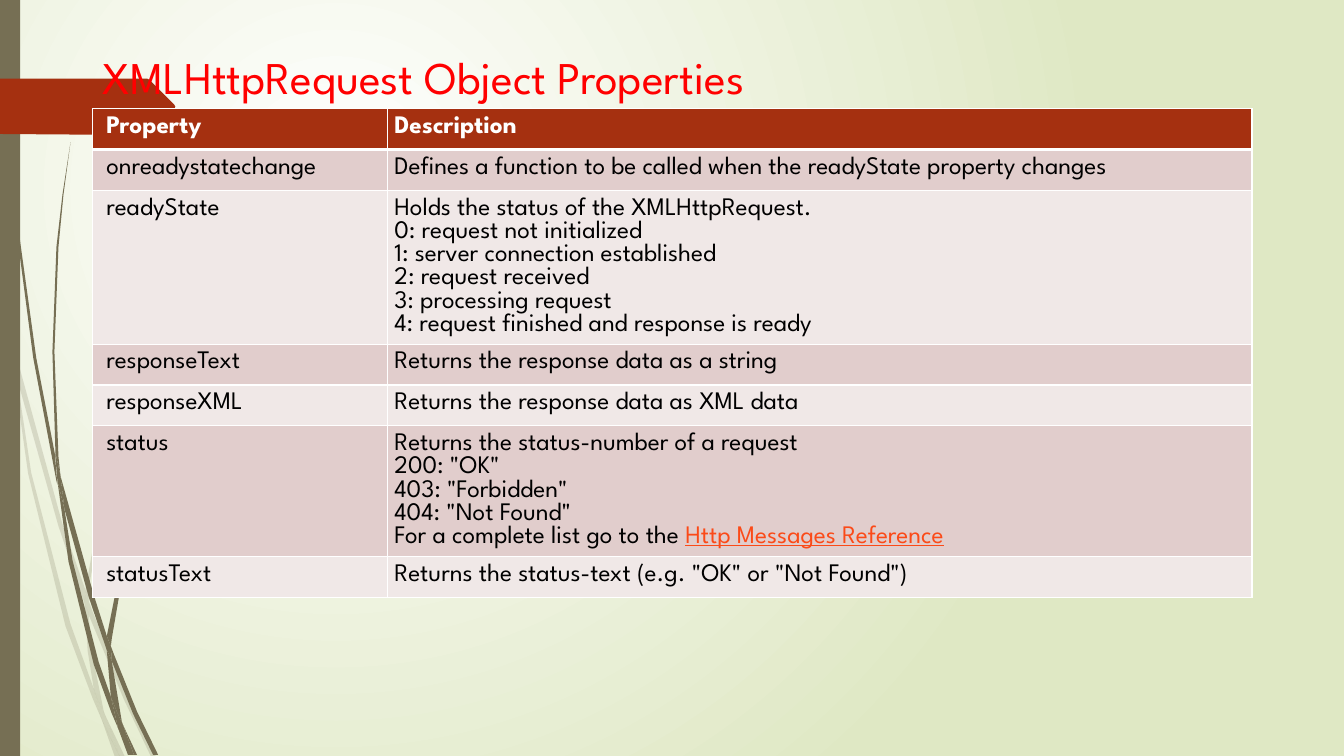
from lxml import etree
from pptx import Presentation
from pptx.dml.color import RGBColor
from pptx.enum.shapes import MSO_SHAPE as Preset
from pptx.enum.text import MSO_ANCHOR as Anchor, MSO_AUTO_SIZE as AutoSize, PP_ALIGN as Align
from pptx.oxml.ns import qn
from pptx.util import Cm, Pt

FONT = "League Spartan"
OLIVE, RUST, WHITE, BLACK = "766F54", "A53010", "FFFFFF", "000000"
HUNDREDTH_INCH = Cm(2.54) / 100


def rgb(value):
    return RGBColor.from_string(value)


def add_outline(shapes, points, color):
    builder = shapes.build_freeform(*points[0], scale=HUNDREDTH_INCH)
    builder.add_line_segments(points[1:], close=True)
    outline = builder.convert_to_shape()
    outline.shadow.inherit = False
    outline.fill.solid()
    outline.fill.fore_color.rgb = rgb(color)
    outline.line.fill.background()
    return outline


pale_strands = [
    [(11, 350), (9, 322), (0, 282), (0, 299), (10, 344)],
    [(58, 522), (84, 599), (85, 586), (62, 520), (14, 345), (17, 376)],
    [(92, 607), (88, 596), (88, 610), (123, 694), (150, 751), (155, 751), (127, 692)],
    [(119, 751), (124, 751), (105, 711)],
    [(93, 683), (70, 619), (31, 469), (17, 376), (11, 350), (28, 470), (65, 621), (92, 693),
     (101, 714), (99, 707)],
    [(84, 599), (87, 646), (93, 683), (96, 692), (105, 711), (103, 706), (91, 646), (88, 610),
     (88, 608)],
    [(88, 584), (110, 462), (160, 349), (229, 245), (268, 198), (290, 175), (312, 154),
     (312, 153), (289, 175), (268, 197), (228, 244), (158, 348), (107, 461), (85, 584),
     (85, 586), (88, 596)],
    [(101, 714), (114, 751), (119, 751)],
    [(88, 608), (88, 610), (88, 596), (85, 586), (84, 599)],
    [(96, 692), (93, 683), (99, 707), (101, 714), (119, 751), (105, 711)],
]
dark_strands = [
    [(7, 110), (17, 233), (33, 355), (56, 477), (57, 481), (55, 457), (55, 453), (36, 355),
     (19, 232), (8, 109), (5, 48), (4, 0), (3, 0), (4, 48)],
    [(88, 592), (106, 645), (106, 633), (106, 631), (93, 590), (60, 472), (64, 505)],
    [(113, 649), (110, 641), (111, 656), (132, 708), (152, 749), (157, 749), (136, 706)],
    [(110, 691), (98, 657), (72, 556), (64, 505), (57, 477), (68, 557), (93, 659), (111, 708),
     (117, 722), (116, 717)],
    [(60, 472), (58, 453), (54, 349), (58, 245), (63, 193), (70, 141), (62, 193), (56, 245),
     (52, 349), (55, 449)],
    [(133, 749), (136, 749), (122, 719)],
    [(57, 477), (64, 505), (60, 472), (55, 449), (55, 453)],
    [(111, 633), (125, 552), (158, 476), (205, 406), (231, 374), (245, 359), (261, 344),
     (260, 344), (245, 358), (231, 373), (204, 405), (156, 474), (122, 551), (106, 631),
     (110, 641)],
    [(117, 722), (127, 749), (131, 749)],
    [(106, 645), (110, 691), (116, 706), (122, 719), (121, 716), (111, 656), (109, 651)],
    [(106, 645), (109, 651), (111, 656), (110, 641), (106, 631), (106, 633)],
    [(116, 706), (110, 691), (116, 717), (117, 722), (130, 749), (133, 749), (122, 719)],
]
title_tab = [(173, 108), (148, 133), (146, 134), (136, 134), (0, 133), (0, 78), (136, 78),
             (146, 78), (148, 79), (173, 104), (174, 106)]

properties = [
    ("Property", "Description"),
    ("onreadystatechange", "Defines a function to be called when the readyState property changes"),
    ("readyState", "Holds the status of the XMLHttpRequest.\v0: request not initialized\v"
     "1: server connection established\v2: request received\v3: processing request\v"
     "4: request finished and response is ready"),
    ("responseText", "Returns the response data as a string"),
    ("responseXML", "Returns the response data as XML data"),
    ("status", 'Returns the status-number of a request\v200: "OK"\v403: "Forbidden"\v'
     '404: "Not Found"\vFor a complete list go to the '),
    ("statusText", 'Returns the status-text (e.g. "OK" or "Not Found")'),
]
row_heights = [1.03, 1.03, 3.86, 1.03, 1.03, 3.28, 1.03]

deck = Presentation()
deck.slide_width, deck.slide_height = Cm(33.87), Cm(19.05)
slide = deck.slides.add_slide(deck.slide_layouts[5])
shapes = slide.shapes

backdrop = slide.background.fill
backdrop.gradient()
for stop, color in zip(backdrop.gradient_stops, (WHITE, "DFE8C4")):
    stop.color.rgb = rgb(color)
backdrop.gradient_stops[0].position = 0
backdrop.gradient_stops[1].position = 1
gradient = slide.element.find(".//" + qn("a:gradFill"))
gradient.remove(gradient.find(qn("a:lin")))
glow = etree.SubElement(gradient, qn("a:path"), {"path": "circle"})
etree.SubElement(glow, qn("a:fillToRect"), l="50000", t="50000", r="100000", b="100000")

pale_grass = shapes.add_group_shape()
for strand in pale_strands:
    blade = add_outline(pale_grass.shapes, strand, OLIVE)
    tint = blade.element.spPr.find(qn("a:solidFill"))[0]
    etree.SubElement(tint, qn("a:alpha"), val="20000")
dark_grass = shapes.add_group_shape()
for strand in dark_strands:
    add_outline(dark_grass.shapes, strand, OLIVE)

side_bar = shapes.add_shape(Preset.RECTANGLE, 0, 0, Cm(0.51), Cm(19.05))
side_bar.shadow.inherit = False
side_bar.fill.solid()
side_bar.fill.fore_color.rgb = rgb(OLIVE)
side_bar.line.fill.background()
add_outline(shapes, title_tab, RUST)

title = shapes.title
shapes.element.append(title.element)
title.left, title.top, title.width, title.height = Cm(2.34), Cm(1.02), Cm(29.21), Cm(1.73)
heading = title.text_frame
heading.text = "XMLHttpRequest Object Properties"
heading.auto_size = AutoSize.NONE
heading.vertical_anchor = Anchor.BOTTOM
heading.paragraphs[0].alignment = Align.LEFT
heading_font = heading.paragraphs[0].runs[0].font
heading_font.name, heading_font.size = FONT, Pt(32.4)
heading_font.color.rgb = rgb("FF0000")

table = shapes.add_table(len(properties), 2, Cm(2.34), Cm(2.74), Cm(29.21),
                         Cm(sum(row_heights))).table
table.columns[0].width, table.columns[1].width = Cm(7.42), Cm(21.79)
for row, (entry, height) in enumerate(zip(properties, row_heights)):
    table.rows[row].height = Cm(height)
    for column, wording in enumerate(entry):
        cell = table.cell(row, column)
        cell.margin_left = Cm(0.18 if column else 0.34)
        cell.margin_right = cell.margin_top = cell.margin_bottom = Cm(0.18)
        cell.text_frame.text = wording
        paragraph = cell.text_frame.paragraphs[0]
        for run in paragraph.runs:
            run.font.color.rgb = rgb(BLACK if row else WHITE)
        if column and entry[0] == "status":
            reference = paragraph.add_run()
            reference.text = "Http Messages Reference"
            reference.font.underline = True
            reference.font.color.rgb = rgb("FB4A18")
        for run in paragraph.runs:
            run.font.name, run.font.size, run.font.bold = FONT, Pt(18), row == 0
        borders = cell._tc.get_or_add_tcPr()
        for side in ("lnL", "lnR", "lnT", "lnB"):
            thick = (row, side) in ((0, "lnB"), (1, "lnT"))
            border = etree.SubElement(borders, qn(f"a:{side}"), w=str(Pt(3 if thick else 1)))
            ink = etree.SubElement(border, qn("a:solidFill"))
            etree.SubElement(ink, qn("a:srgbClr"), val=WHITE)
        cell.fill.solid()
        cell.fill.fore_color.rgb = rgb(RUST if row == 0 else ("F0E8E7", "E1CDCC")[row % 2])

deck.save("out.pptx")
